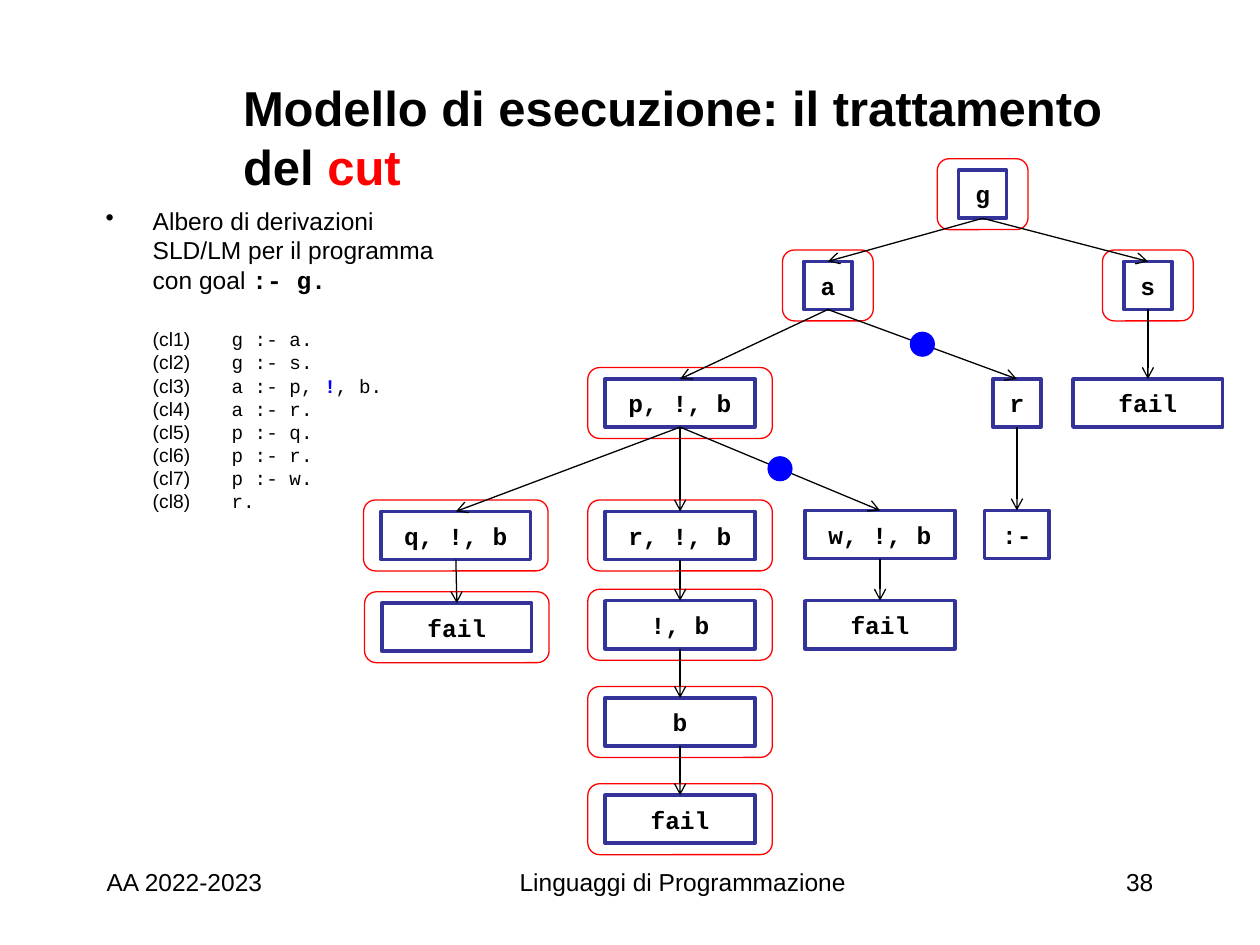
from pptx import Presentation
from pptx.dml.color import RGBColor
from pptx.enum.shapes import MSO_CONNECTOR as Link, MSO_SHAPE as Shape
from pptx.enum.text import MSO_ANCHOR as Anchor, PP_ALIGN as Align
from pptx.oxml.ns import qn
from pptx.util import Cm, Pt
from lxml.etree import SubElement

BLACK, RED, BLUE, NAVY, WHITE = "000000", "FF0000", "0000FF", "333399", "FFFFFF"
SANS, MONO = "Arial", "Courier New"
NODE_HEIGHT, SMALL, WIDE = 0.97, 0.97, 3.02
FRAME_MARGIN_Y, DOT = 0.23, 0.48
FRAME_MARGIN_X = {SMALL: 0.43, WIDE: 0.35}

# key: label, centre x, top, width, parent, framed, pruned (relative to the tree box)
TREE = {
    "g": ("g", 12.46, 0.2, SMALL, None, True, False),
    "a": ("a", 9.34, 2.04, SMALL, "g", True, False),
    "s": ("s", 15.79, 2.04, SMALL, "g", True, False),
    "p": ("p, !, b", 6.36, 4.41, WIDE, "a", True, False),
    "r": ("r", 13.15, 4.41, SMALL, "a", False, True),
    "s fail": ("fail", 15.79, 4.41, WIDE, "s", False, False),
    "pq": ("q, !, b", 1.84, 7.08, WIDE, "p", True, False),
    "pr": ("r, !, b", 6.36, 7.08, WIDE, "p", True, False),
    "pw": ("w, !, b", 10.39, 7.06, WIDE, "p", False, True),
    "empty": (":-", 13.15, 7.06, 1.3, "r", False, False),
    "q fail": ("fail", 1.86, 8.93, WIDE, "pq", True, False),
    "cut": ("!, b", 6.36, 8.88, WIDE, "pr", True, False),
    "w fail": ("fail", 10.39, 8.88, WIDE, "pw", False, False),
    "b": ("b", 6.36, 10.84, WIDE, "cut", True, False),
    "b fail": ("fail", 6.36, 12.8, WIDE, "b", True, False),
}
CLAUSES = ["g :- a.", "g :- s.", "a :- p, !, b.", "a :- r.",
           "p :- q.", "p :- r.", "p :- w.", "r."]


def colour(value):
    """Turn a hex string into a colour."""
    return RGBColor.from_string(value)


def style(run, size, face=SANS, ink=BLACK, bold=False):
    """Set the font of a run."""
    font = run.font
    font.size, font.name, font.bold = Pt(size), face, bold
    font.color.rgb = colour(ink)


def add_styled(paragraph, text, *look):
    """Append a run with its own font."""
    run = paragraph.add_run()
    run.text = text
    style(run, *look)


def hang(paragraph, margin, depth):
    """Give a paragraph a hanging indent and return its properties."""
    properties = paragraph._p.get_or_add_pPr()
    properties.set("marL", str(Cm(margin)))
    properties.set("indent", str(-Cm(depth)))
    return properties


def text_box(slide, left, top, width, height, anchor=Anchor.TOP):
    """Add a wrapping text box and return its frame."""
    frame = slide.shapes.add_textbox(Cm(left), Cm(top), Cm(width), Cm(height)).text_frame
    frame.word_wrap = True
    frame.vertical_anchor = anchor
    return frame


def outline(slide, kind, box, line, weight, fill=None):
    """Add a preset shape with an outline and an optional fill."""
    shape = slide.shapes.add_shape(kind, *map(Cm, box))
    shape.shadow.inherit = False
    if fill:
        shape.fill.solid()
        shape.fill.fore_color.rgb = colour(fill)
    else:
        shape.fill.background()
    shape.line.color.rgb = colour(line)
    shape.line.width = Pt(weight)
    return shape


def arrow(slide, start, end):
    """Draw a thin black arrow between two points."""
    branch = slide.shapes.add_connector(Link.STRAIGHT, *map(Cm, start + end))
    branch.line.color.rgb = colour(BLACK)
    branch.line.width = Pt(0.75)
    SubElement(branch.line._get_or_add_ln(), qn("a:tailEnd"), type="arrow")
    SubElement(branch._element.spPr, qn("a:effectLst"))


def title(slide, left, top, width, height):
    """Write the heading with its last word in red."""
    heading = text_box(slide, left, top, width, height, Anchor.MIDDLE).paragraphs[0]
    add_styled(heading, "Modello di esecuzione: il trattamento del ", 28, SANS, BLACK, True)
    add_styled(heading, "cut", 28, SANS, RED, True)


def program(slide, left, top, width, height):
    """Write the bulleted introduction and the numbered clauses."""
    frame = text_box(slide, left, top, width, height)
    intro = frame.paragraphs[0]
    add_styled(intro, "Albero di derivazioni SLD/LM per il programma con goal ", 14)
    add_styled(intro, ":- g.", 14, MONO, BLACK, True)
    SubElement(hang(intro, 0.95, 0.95), qn("a:buChar"), char="\u2022")
    for number, clause in enumerate(CLAUSES, 1):
        line = frame.add_paragraph()
        hang(line, 2.54, 1.59)
        line.space_before = Pt(19 if number == 1 else 0)
        add_styled(line, f"(cl{number})\t", 11)
        before, cut, after = clause.partition("!")
        add_styled(line, before, 11, MONO)
        if cut:
            add_styled(line, cut, 11, MONO, BLUE, True)
            add_styled(line, after, 11, MONO)


def derivation_tree(slide, left, top):
    """Draw nodes, visit frames, branches and the dots on pruned branches."""
    for label, x, y, width, _, framed, _ in TREE.values():
        box = (left + x - width / 2, top + y, width, NODE_HEIGHT)
        node = outline(slide, Shape.RECTANGLE, box, NAVY, 2, WHITE)
        frame = node.text_frame
        frame.margin_left = frame.margin_right = 0
        frame.word_wrap = False
        frame.vertical_anchor = Anchor.MIDDLE
        frame.text = label
        frame.paragraphs[0].alignment = Align.CENTER
        style(frame.paragraphs[0].runs[0], 14, MONO, BLACK, True)
        if framed:
            margin_x = FRAME_MARGIN_X[width]
            outline(slide, Shape.ROUNDED_RECTANGLE,
                    (box[0] - margin_x, box[1] - FRAME_MARGIN_Y,
                     width + 2 * margin_x, NODE_HEIGHT + 2 * FRAME_MARGIN_Y), RED, 0.75)
    for _, x, y, _, parent, _, pruned in TREE.values():
        if not parent:
            continue
        start = (left + TREE[parent][1], top + TREE[parent][2] + NODE_HEIGHT)
        end = (left + x, top + y)
        arrow(slide, start, end)
        if pruned:
            corner = [(a + b - DOT) / 2 for a, b in zip(start, end)]
            outline(slide, Shape.OVAL, (*corner, DOT, DOT), BLUE, 0.75, BLUE)


def footer(slide, top, height):
    """Write date, course and page number along the bottom."""
    for text, left, width, align in (
            ("AA 2022-2023", 1.9, 6.35, Align.LEFT),
            ("Linguaggi di Programmazione", 8.05, 11.43, Align.CENTER),
            ("38", 18.42, 5.08, Align.RIGHT)):
        frame = text_box(slide, left, top, width, height)
        frame.text = text
        frame.paragraphs[0].alignment = align
        style(frame.paragraphs[0].runs[0], 14)


deck = Presentation()
deck.slide_width, deck.slide_height = Cm(25.4), Cm(19.05)
page = deck.slides.add_slide(deck.slide_layouts[6])
title(page, 4.65, 1.7, 18.85, 2.1)
program(page, 1.88, 4.03, 7.19, 7.01)
derivation_tree(page, 7.35, 3.23)
footer(page, 17.35, 1.27)
deck.save("out.pptx")
